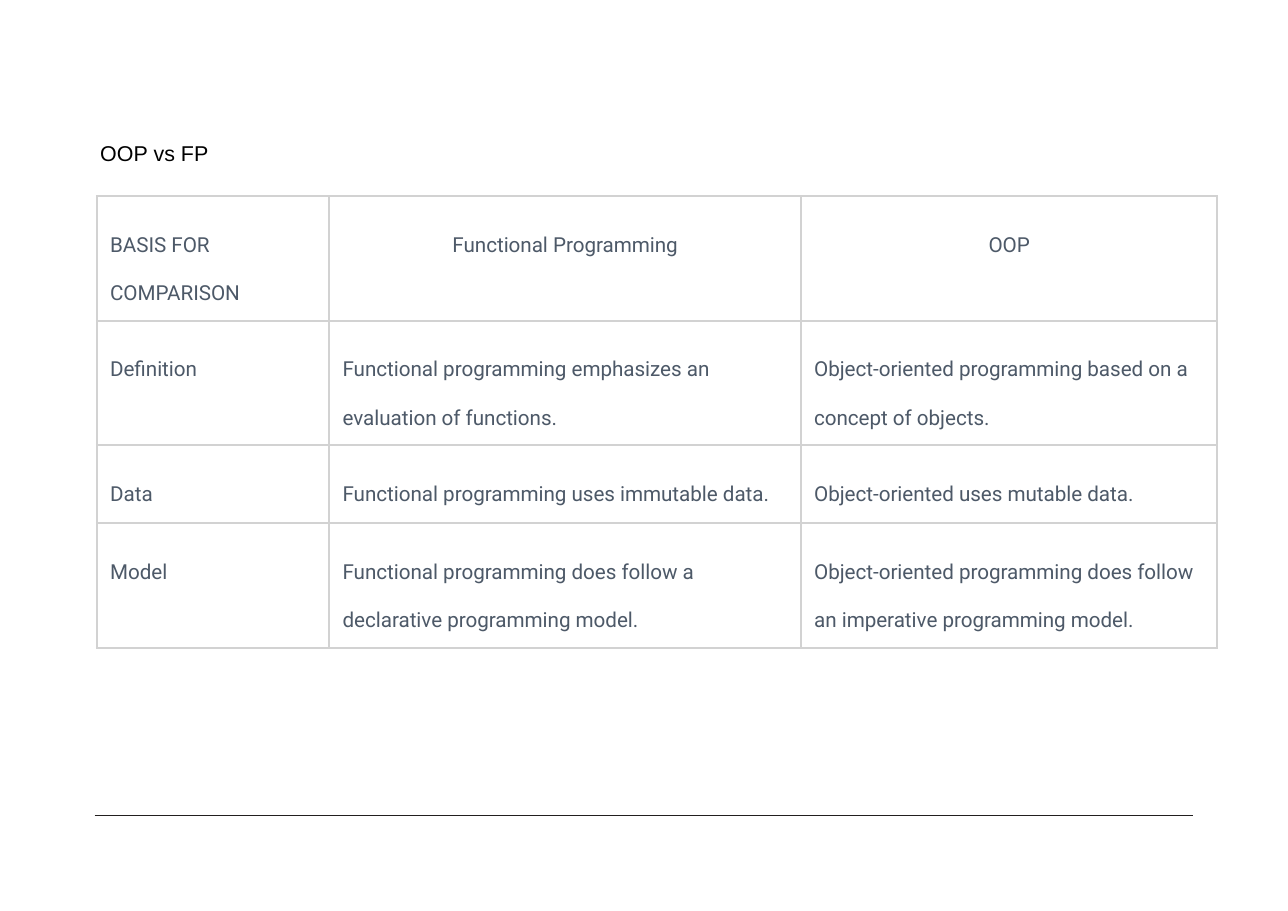
"""Build a slide with a table comparing functional and object-oriented programming."""
from dataclasses import dataclass

from lxml.etree import SubElement
from pptx import Presentation
from pptx.dml.color import RGBColor
from pptx.enum.shapes import MSO_CONNECTOR
from pptx.enum.text import MSO_ANCHOR, MSO_AUTO_SIZE, PP_ALIGN
from pptx.oxml.ns import qn
from pptx.slide import Slide
from pptx.table import _Cell
from pptx.text.text import TextFrame
from pptx.util import Emu, Pt


@dataclass(frozen=True)
class TextStyle:
    font: str
    size: float
    color: str
    spacing: float = 1.0


@dataclass(frozen=True)
class Theme:
    title: TextStyle = TextStyle("Arial", 14, "000000")
    cell: TextStyle = TextStyle("Roboto", 13.5, "4D5968", 2.0)
    paper: str = "FFFFFF"
    border: str = "D2D2D2"
    border_width: float = 1.5
    rule: str = "221F1F"
    rule_width: float = 0.75


@dataclass(frozen=True)
class Box:
    left: int
    top: int
    width: int
    height: int


@dataclass(frozen=True)
class ComparisonRow:
    height: int
    basis: str
    functional: str
    object_oriented: str
    value_align: PP_ALIGN = PP_ALIGN.LEFT


THEME = Theme()
EMU_PER_PX = 9144
PAGE = Box(0, 0, 1169, 827)
TITLE = Box(81, 117, 772, 44)
TITLE_INSET = 10
RULE = Box(86, 740, 997, 0)
TABLE_LEFT, TABLE_TOP = 88, 178
COLUMN_WIDTHS = (211, 428, 378)
CELL_INSET = 12
ROWS = (
    ComparisonRow(113, "BASIS FOR COMPARISON", "Functional Programming", "OOP",
                  PP_ALIGN.CENTER),
    ComparisonRow(113, "Definition",
                  "Functional programming emphasizes an evaluation of functions.",
                  "Object-oriented programming based on a concept of objects."),
    ComparisonRow(71, "Data",
                  "Functional programming uses immutable data.",
                  "Object-oriented uses mutable data."),
    ComparisonRow(113, "Model",
                  "Functional programming does follow a declarative programming model.",
                  "Object-oriented programming does follow an imperative programming model."),
)


def px(length: int) -> Emu:
    return Emu(length * EMU_PER_PX)


def write_text(frame: TextFrame, text: str, style: TextStyle, align: PP_ALIGN) -> None:
    frame.word_wrap = True
    para = frame.paragraphs[0]
    para.alignment = align
    para.line_spacing = style.spacing
    para.space_before = Pt(0)
    span = para.add_run()
    span.text = text
    span.font.name = style.font
    span.font.size = Pt(style.size)
    span.font.color.rgb = RGBColor.from_string(style.color)


def set_insets(target: TextFrame | _Cell, inset: int) -> None:
    for side in ("left", "top", "right", "bottom"):
        setattr(target, f"margin_{side}", px(inset))


def add_title(page: Slide, text: str, box: Box) -> None:
    title = page.shapes.title
    title.left, title.top = px(box.left), px(box.top)
    title.width, title.height = px(box.width), px(box.height)
    frame = title.text_frame
    frame.auto_size = MSO_AUTO_SIZE.NONE
    frame.vertical_anchor = MSO_ANCHOR.TOP
    set_insets(frame, TITLE_INSET)
    write_text(frame, text, THEME.title, PP_ALIGN.LEFT)


def add_rule(page: Slide, box: Box) -> None:
    rule = page.shapes.add_connector(
        MSO_CONNECTOR.STRAIGHT, px(box.left), px(box.top),
        px(box.left + box.width), px(box.top + box.height))
    rule.line.color.rgb = RGBColor.from_string(THEME.rule)
    rule.line.width = Pt(THEME.rule_width)
    SubElement(rule._element.spPr, qn("a:effectLst"))


def draw_borders(cell: _Cell) -> None:
    properties = cell._tc.get_or_add_tcPr()
    for side in ("lnL", "lnR", "lnT", "lnB"):
        line = SubElement(properties, qn(f"a:{side}"), w=str(Pt(THEME.border_width)))
        fill = SubElement(line, qn("a:solidFill"))
        SubElement(fill, qn("a:srgbClr"), val=THEME.border)


def fill_cell(cell: _Cell, text: str, align: PP_ALIGN) -> None:
    draw_borders(cell)
    cell.fill.solid()
    cell.fill.fore_color.rgb = RGBColor.from_string(THEME.paper)
    cell.vertical_anchor = MSO_ANCHOR.TOP
    set_insets(cell, CELL_INSET)
    write_text(cell.text_frame, text, THEME.cell, align)


def add_comparison(page: Slide, rows: tuple[ComparisonRow, ...]) -> None:
    table = page.shapes.add_table(
        len(rows), len(COLUMN_WIDTHS), px(TABLE_LEFT), px(TABLE_TOP),
        px(sum(COLUMN_WIDTHS)), px(sum(row.height for row in rows))).table
    table.first_row = table.horz_banding = False
    for column, width in zip(table.columns, COLUMN_WIDTHS):
        column.width = px(width)
    for table_row, row in zip(table.rows, rows):
        table_row.height = px(row.height)
        basis, functional, object_oriented = table_row.cells
        fill_cell(basis, row.basis, PP_ALIGN.LEFT)
        fill_cell(functional, row.functional, row.value_align)
        fill_cell(object_oriented, row.object_oriented, row.value_align)


def main() -> None:
    deck = Presentation()
    deck.slide_width, deck.slide_height = px(PAGE.width), px(PAGE.height)
    page = deck.slides.add_slide(deck.slide_layouts.get_by_name("Title Only"))
    add_rule(page, RULE)
    add_title(page, "OOP vs FP", TITLE)
    add_comparison(page, ROWS)
    deck.save("out.pptx")


if __name__ == "__main__":
    main()
